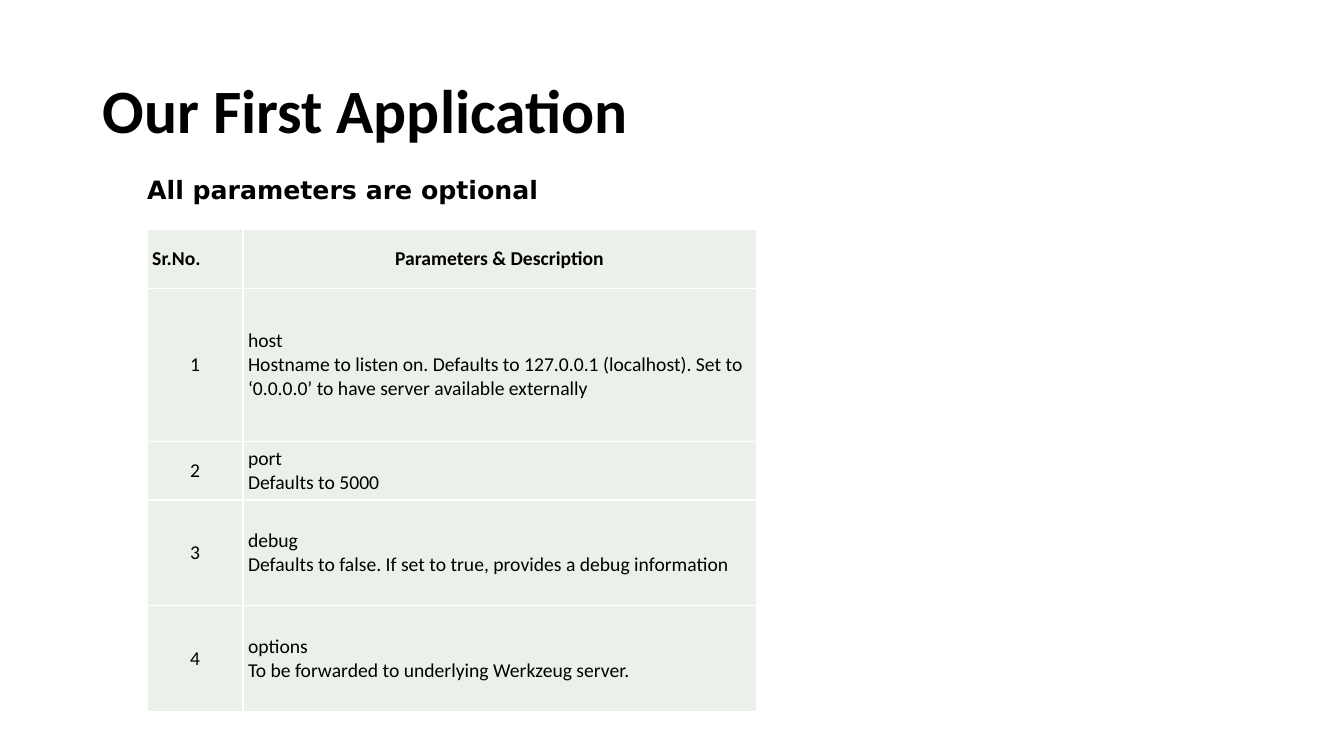
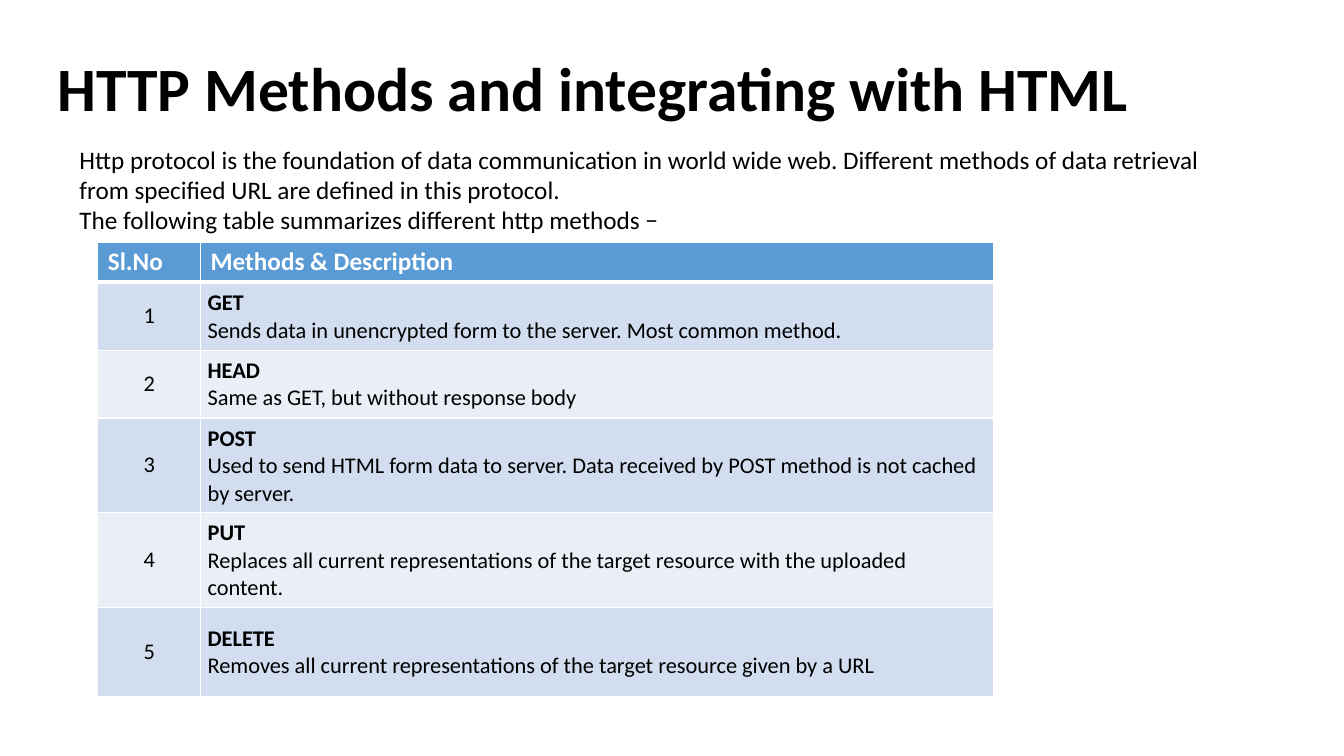
import pptx
import pptx.dml.color
import pptx.enum.text
import pptx.oxml
import pptx.oxml.ns
import pptx.util

RGBColor = pptx.dml.color.RGBColor
LEFT = pptx.enum.text.PP_ALIGN.LEFT
CENTER = pptx.enum.text.PP_ALIGN.CENTER
TOP = pptx.enum.text.MSO_ANCHOR.TOP
MIDDLE = pptx.enum.text.MSO_ANCHOR.MIDDLE

BLACK = RGBColor(0x00, 0x00, 0x00)
WHITE = RGBColor(0xFF, 0xFF, 0xFF)
SAGE = RGBColor(0xEB, 0xF1, 0xE9)
BLUE = RGBColor(0x5B, 0x9B, 0xD5)
BAND_DARK = RGBColor(0xD2, 0xDE, 0xEF)
BAND_LIGHT = RGBColor(0xEA, 0xEF, 0xF7)
BODY_FONT = "Calibri"
PX = 9144  # EMU per px, 100 px to the inch

# Content
PARAMETERS = [
    ("host", "Hostname to listen on. Defaults to 127.0.0.1 (localhost). "
             "Set to ‘0.0.0.0’ to have server available externally"),
    ("port", "Defaults to 5000"),
    ("debug", "Defaults to false. If set to true, provides a debug information"),
    ("options", "To be forwarded to underlying Werkzeug server."),
]
METHODS = [
    ("GET", "Sends data in unencrypted form to the server. Most common method."),
    ("HEAD", "Same as GET, but without response body"),
    ("POST", "Used to send HTML form data to server. "
             "Data received by POST method is not cached by server."),
    ("PUT", "Replaces all current representations of the target resource "
            "with the uploaded content."),
    ("DELETE", "Removes all current representations of the target resource given by a URL"),
]
SLIDES = [
    {
        "title": "Our First Application",
        "title_at": (92, 40, 1150, 145),
        "intro": ["All parameters are optional"],
        "intro_at": (146, 173, 420, 31),
        "intro_format": {"font": "DejaVu Sans", "bold": True, "insets": (0, 0)},
        "header": ("Sr.No.", "Parameters & Description"),
        "header_format": {"size": 14, "color": BLACK, "insets": (5, 5), "anchor": MIDDLE},
        "header_aligns": (LEFT, CENTER),
        "header_fill": SAGE,
        "header_rule": 1,
        "entries": PARAMETERS,
        "body_format": {"size": 14, "insets": (5, 5), "anchor": MIDDLE},
        "bold_names": False,
        "bands": (SAGE, SAGE),
        "table_at": (146, 228),
        "cols": (95, 509),
        "rows": (58, 152, 58, 105, 105),
    },
    {
        "title": "HTTP Methods and integrating with HTML",
        "title_at": (47, 18, 1150, 145),
        "intro": [
            "Http protocol is the foundation of data communication in world wide web. "
            "Different methods of data retrieval from specified URL are defined in this protocol.",
            "The following table summarizes different http methods −",
        ],
        "intro_at": (69, 138, 1153, 100),
        "intro_format": {},
        "header": ("Sl.No", "Methods & Description"),
        "header_format": {"size": 18, "color": WHITE},
        "header_aligns": (LEFT, LEFT),
        "header_fill": BLUE,
        "header_rule": 3,
        "entries": METHODS,
        "body_format": {"size": 16, "insets": (7, 7), "anchor": MIDDLE},
        "bold_names": True,
        "bands": (BAND_DARK, BAND_LIGHT),
        "table_at": (97, 240),
        "cols": (102, 787),
        "rows": (39, 67, 67, 93, 93, 89),
    },
]


def write(box, lines, size=18, font=BODY_FONT, color=BLACK, bold=False, bold_first=False,
          align=LEFT, spacing=None, insets=(10, 5), anchor=TOP):
    """Put one paragraph per line into a text frame or a table cell."""
    box.margin_left = box.margin_right = insets[0] * PX
    box.margin_top = box.margin_bottom = insets[1] * PX
    box.vertical_anchor = anchor
    tf = getattr(box, "text_frame", box)
    tf.word_wrap = True
    for i, line in enumerate(lines):
        p = tf.add_paragraph() if i else tf.paragraphs[0]
        p.alignment = align
        if spacing:
            p.line_spacing = spacing
        r = p.add_run()
        r.text = line
        r.font.name = font
        r.font.size = pptx.util.Pt(size)
        r.font.bold = bold or (bold_first and i == 0)
        r.font.color.rgb = color


def add_text(s, at, lines, **fmt):
    box = s.shapes.add_textbox(*(v * PX for v in at))
    write(box.text_frame, lines, **fmt)


def paint_cell(cell, fill, bottom=1, top=1):
    """White borders (widths in points) come before the fill in the cell's XML."""
    tc_pr = cell._tc.get_or_add_tcPr()
    for side, width in (("L", 1), ("R", 1), ("T", top), ("B", bottom)):
        tc_pr.append(pptx.oxml.parse_xml(
            f'<a:ln{side} {pptx.oxml.ns.nsdecls("a")} w="{width * 12700}">'
            f'<a:solidFill><a:srgbClr val="{WHITE}"/></a:solidFill></a:ln{side}>'))
    cell.fill.solid()
    cell.fill.fore_color.rgb = fill


def add_listing(s, d):
    cols, rows = d["cols"], d["rows"]
    x, y = d["table_at"]
    table = s.shapes.add_table(len(rows), len(cols), x * PX, y * PX,
                               sum(cols) * PX, sum(rows) * PX).table
    table.first_row = table.horz_banding = False
    for col, width in zip(table.columns, cols):
        col.width = width * PX
    for row, height in zip(table.rows, rows):
        row.height = height * PX

    # Header row
    for c, (label, align) in enumerate(zip(d["header"], d["header_aligns"])):
        cell = table.cell(0, c)
        write(cell, [label], bold=True, align=align, **d["header_format"])
        paint_cell(cell, d["header_fill"], bottom=d["header_rule"])

    # Numbered rows
    for n, entry in enumerate(d["entries"], 1):
        number, text = table.cell(n, 0), table.cell(n, 1)
        write(number, [str(n)], align=CENTER, **d["body_format"])
        write(text, entry, bold_first=d["bold_names"], **d["body_format"])
        for cell in (number, text):
            paint_cell(cell, d["bands"][(n - 1) % 2],
                       top=d["header_rule"] if n == 1 else 1)


def main():
    prs = pptx.Presentation()
    prs.slide_width, prs.slide_height = 1333 * PX, 750 * PX
    for d in SLIDES:
        s = prs.slides.add_slide(prs.slide_layouts[6])
        add_text(s, d["title_at"], [d["title"]], size=44, bold=True, spacing=0.9, anchor=MIDDLE)
        add_text(s, d["intro_at"], d["intro"], **d["intro_format"])
        add_listing(s, d)
    prs.save("out.pptx")


if __name__ == "__main__":
    main()
